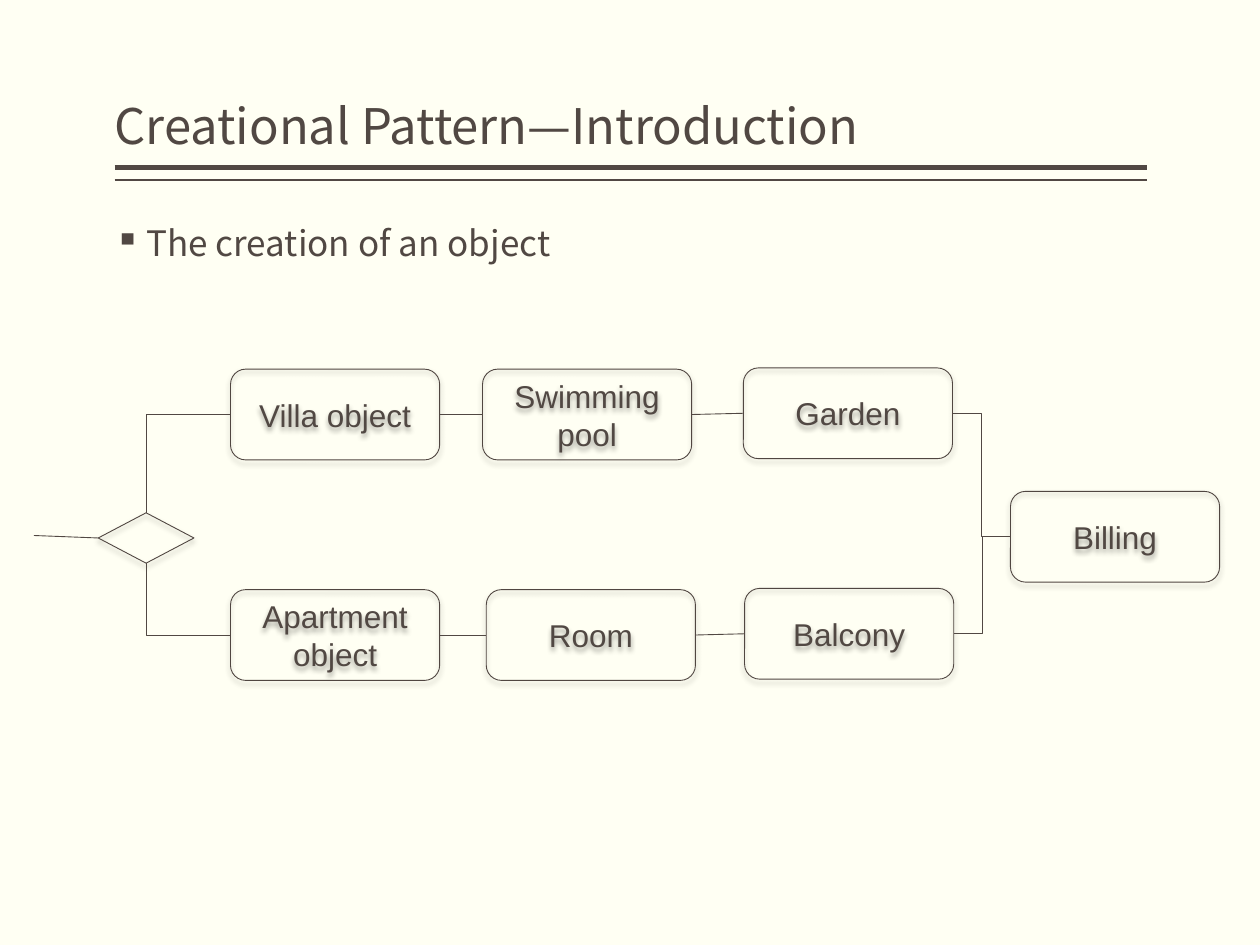
from lxml.etree import SubElement
from pptx import Presentation
from pptx.dml.color import RGBColor
from pptx.enum.shapes import MSO_CONNECTOR, MSO_SHAPE
from pptx.enum.text import MSO_ANCHOR, MSO_AUTO_SIZE, PP_ALIGN
from pptx.oxml.ns import qn
from pptx.util import Inches, Pt

COLORS = {"background": "FFFFF3", "text": "514843", "outline": "504641", "shadow": "000000"}
HEADING_FONT, DIAGRAM_FONT = "Noto Sans CJK SC", "Arial"
TOP, LEFT, BOTTOM, RIGHT = range(4)  # connection sites
BOX_WIDTH, BOX_HEIGHT = 1.66, 0.72


def color(name):
    return RGBColor.from_string(COLORS[name])


def format_text(frame, font_name, size, align, anchor):
    frame.word_wrap = True
    frame.auto_size = MSO_AUTO_SIZE.NONE
    frame.vertical_anchor = anchor
    paragraph = frame.paragraphs[0]
    paragraph.alignment = align
    font = paragraph.runs[0].font
    font.name, font.size = font_name, Pt(size)
    font.color.rgb = color("text")


def format_heading(frame, size, anchor):
    frame.margin_left = frame.margin_right = 0
    frame.margin_top = frame.margin_bottom = Inches(0.05)
    frame.paragraphs[0].line_spacing = 0.9
    format_text(frame, HEADING_FONT, size, PP_ALIGN.LEFT, anchor)


def add_line(slide, kind, start=(0, 0), end=(0, 0), width=0.5):
    ends = [Inches(value) for value in (*start, *end)]
    connector = slide.shapes.add_connector(kind, *ends)
    connector.line.color.rgb = color("text")
    connector.line.width = Pt(width)
    SubElement(connector._element.spPr, qn("a:effectLst"))
    return connector


def join(slide, source, source_site, target, target_site, kind=MSO_CONNECTOR.STRAIGHT):
    connector = add_line(slide, kind)
    connector.begin_connect(source, source_site)
    connector.end_connect(target, target_site)
    return connector


def join_corner(slide, source, source_site, target, target_site):
    """Join two shapes with a connector that turns once."""
    connector = join(slide, source, source_site, target, target_site, MSO_CONNECTOR.ELBOW)
    connector._element.spPr.find(qn("a:prstGeom")).set("prst", "bentConnector2")


def add_node(slide, preset, left, top, width, height, label=""):
    node = slide.shapes.add_shape(
        preset, Inches(left), Inches(top), Inches(width), Inches(height))
    node.fill.background()
    node.line.color.rgb = color("outline")
    node.line.width = Pt(0.5)
    # Soft shadow straight below
    node.shadow.inherit = False
    effects = node._element.spPr.find(qn("a:effectLst"))
    shadow = SubElement(effects, qn("a:outerShdw"), blurRad=str(Pt(3.1)),
                        dist=str(Pt(2)), dir="5400000", rotWithShape="0")
    tint = SubElement(shadow, qn("a:srgbClr"), val=COLORS["shadow"])
    SubElement(tint, qn("a:alpha"), val="38000")
    if label:
        node.text_frame.text = label
        format_text(node.text_frame, DIAGRAM_FONT, 18, PP_ALIGN.CENTER, MSO_ANCHOR.MIDDLE)
    return node


def add_header(slide, left, top, width, height):
    title = slide.shapes.title
    title.left, title.top = Inches(left), Inches(top)
    title.width, title.height = Inches(width), Inches(height)
    title.text_frame.text = "Creational Pattern—Introduction"
    format_heading(title.text_frame, 28, MSO_ANCHOR.BOTTOM)
    # Thick and thin rules under the title
    for gap, weight in ((0.05, 3), (0.15, 1)):
        rule_y = top + height + gap
        add_line(slide, MSO_CONNECTOR.STRAIGHT, (left, rule_y), (left + width, rule_y), weight)


def add_bullet(slide, left, top, width, height):
    body = slide.shapes.add_textbox(Inches(left), Inches(top), Inches(width), Inches(height))
    body.text_frame.text = "The creation of an object"
    properties = body.text_frame.paragraphs[0]._p.get_or_add_pPr()
    properties.set("marL", str(Inches(0.25)))
    properties.set("indent", str(Inches(-0.25)))
    SubElement(properties, qn("a:buChar"), char="▪")
    format_heading(body.text_frame, 20, MSO_ANCHOR.TOP)


def add_flow(slide, left, top):
    def add_box(label, x, y):
        return add_node(slide, MSO_SHAPE.ROUNDED_RECTANGLE, left + x, top + y,
                        BOX_WIDTH, BOX_HEIGHT, label)

    # Decision with its incoming line
    decision = add_node(slide, MSO_SHAPE.DIAMOND, left + 0.51, top + 1.14, 0.76, 0.4)
    entry = add_line(slide, MSO_CONNECTOR.STRAIGHT,
                     (left, top + 1.32), (left + 0.51, top + 1.34))
    entry.end_connect(decision, LEFT)

    # Both branches run from the decision to billing
    billing = add_box("Billing", 7.75, 0.97)
    branches = (
        (TOP, (("Villa object", 1.56, 0), ("Swimming pool", 3.56, 0), ("Garden", 5.63, -0.01))),
        (BOTTOM, (("Apartment object", 1.56, 1.75), ("Room", 3.59, 1.75),
                  ("Balcony", 5.64, 1.74))),
    )
    for decision_site, steps in branches:
        boxes = [add_box(*step) for step in steps]
        join_corner(slide, boxes[0], LEFT, decision, decision_site)
        for previous, following in zip(boxes, boxes[1:]):
            join(slide, previous, RIGHT, following, LEFT)
        join(slide, boxes[-1], RIGHT, billing, LEFT, MSO_CONNECTOR.ELBOW)


def main():
    presentation = Presentation()
    presentation.slide_width, presentation.slide_height = Inches(10), Inches(7.5)
    slide = presentation.slides.add_slide(presentation.slide_layouts[5])
    slide.background.fill.solid()
    slide.background.fill.fore_color.rgb = color("background")
    add_header(slide, 0.91, 0.08, 8.19, 1.2)
    add_bullet(slide, 0.91, 1.75, 8.19, 0.56)
    add_flow(slide, 0.27, 2.93)
    presentation.save("out.pptx")


if __name__ == "__main__":
    main()
